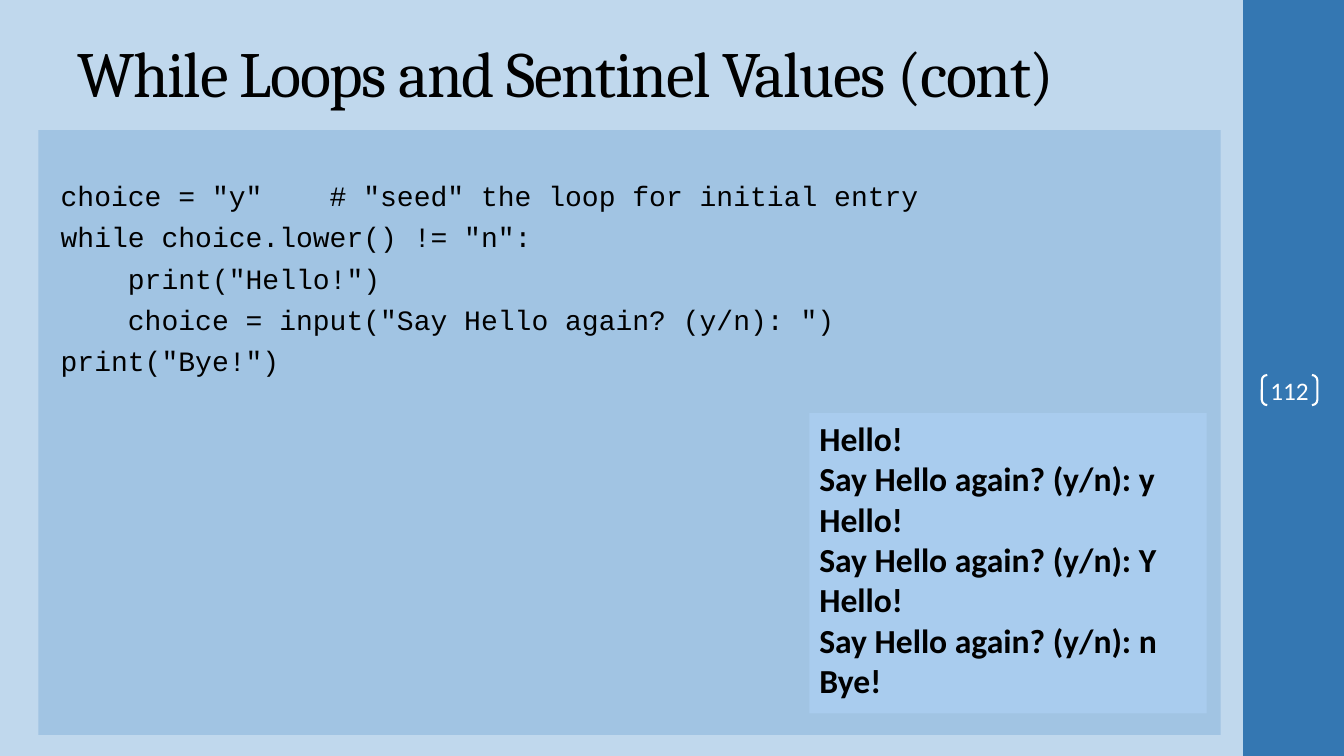
from pptx import Presentation
from pptx.dml.color import RGBColor
from pptx.enum.shapes import MSO_SHAPE
from pptx.enum.text import MSO_ANCHOR, MSO_AUTO_SIZE, PP_ALIGN
from pptx.util import Cm, Pt

TITLE = "While Loops and Sentinel Values (cont)"
CODE = [
    'choice = "y"    # "seed" the loop for initial entry',
    'while choice.lower() != "n":',
    '    print("Hello!")',
    '    choice = input("Say Hello again? (y/n): ")',
    'print("Bye!")',
]
ANSWERS = ["y", "Y", "n"]
PAGE_NUMBER = "112"
COLORS = {
    "background": "C0D8ED",
    "sidebar": "3477B2",
    "code": "A1C4E3",
    "output": "A9CCEE",
    "text": "000000",
    "number": "FFFFFF",
}
WIDTH, HEIGHT, SIDEBAR = 33.87, 19.05, 2.54

output = []
for answer in ANSWERS:
    output += ["Hello!", f"Say Hello again? (y/n): {answer}"]
output.append("Bye!")


def rgb(name):
    return RGBColor.from_string(COLORS[name])


def add_box(s, kind, box, fill=None):
    """Add a shape without shadow or outline; box is in centimetres."""
    sp = s.shapes.add_shape(kind, *map(Cm, box))
    sp.shadow.inherit = False
    sp.line.fill.background()
    if fill:
        sp.fill.solid()
        sp.fill.fore_color.rgb = rgb(fill)
    else:
        sp.fill.background()
    return sp


def write(sp, lines, font, size, color="text", bold=False,
          align=PP_ALIGN.LEFT, anchor=MSO_ANCHOR.TOP, gap=0):
    tf = sp.text_frame
    tf.word_wrap = True
    tf.auto_size = MSO_AUTO_SIZE.NONE
    tf.vertical_anchor = anchor
    for i, line in enumerate(lines):
        p = tf.add_paragraph() if i else tf.paragraphs[0]
        p.text = line
        p.alignment = align
        p.space_before = Pt(gap if i else 0)
        p.font.name = font
        p.font.size = Pt(size)
        p.font.bold = bold
        p.font.color.rgb = rgb(color)
    return tf


prs = Presentation()
prs.slide_width, prs.slide_height = Cm(WIDTH), Cm(HEIGHT)
s = prs.slides.add_slide(prs.slide_layouts[5])
s.background.fill.solid()
s.background.fill.fore_color.rgb = rgb("background")

add_box(s, MSO_SHAPE.RECTANGLE, (WIDTH - SIDEBAR, 0, SIDEBAR, HEIGHT), "sidebar")

title = s.shapes.title
title.left, title.top, title.width, title.height = map(Cm, (1.7, 0.64, 28.22, 2.34))
tf = write(title, [TITLE], "Cambria", 46, anchor=MSO_ANCHOR.MIDDLE)
tf.paragraphs[0].runs[0].font._element.set("spc", "-100")

code = add_box(s, MSO_SHAPE.RECTANGLE, (0.97, 3.28, 29.79, 15.24), "code")
tf = write(code, CODE, "Courier New", 20, gap=5.5)
tf.margin_left, tf.margin_top = Cm(0.56), Cm(1.22)

number = add_box(s, MSO_SHAPE.DOUBLE_BRACKET, (31.8, 9.45, 1.4, 0.76))
number.adjustments[0] = 0.18
number.line.color.rgb = rgb("number")
number.line.width = Pt(1.5)
tf = write(number, [PAGE_NUMBER], "Calibri", 18, "number",
           align=PP_ALIGN.CENTER, anchor=MSO_ANCHOR.MIDDLE)
tf.margin_left = tf.margin_top = tf.margin_right = tf.margin_bottom = 0

result = add_box(s, MSO_SHAPE.RECTANGLE, (20.4, 10.41, 10.01, 7.57), "output")
write(result, output, "Calibri", 24, bold=True)

prs.save("out.pptx")
